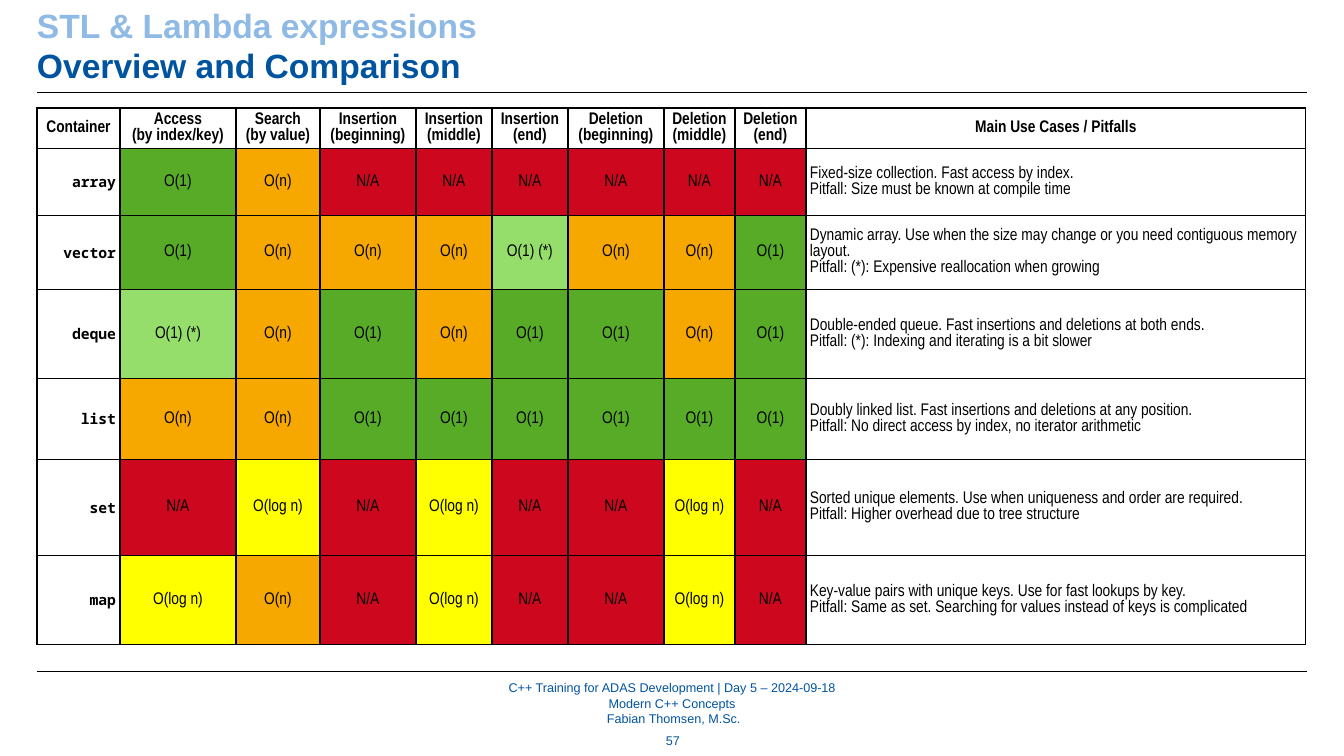
import pptx
import pptx.util
import pptx.dml.color
import pptx.enum.shapes
import pptx.enum.text
import pptx.oxml
import pptx.oxml.ns

RGBColor = pptx.dml.color.RGBColor
ALIGN = pptx.enum.text.PP_ALIGN
ANCHOR = pptx.enum.text.MSO_ANCHOR
BLUE = RGBColor(0x00, 0x54, 0x9F)
LIGHT_BLUE = RGBColor(0x8E, 0xBA, 0xE5)
BLACK = RGBColor(0, 0, 0)
WHITE = RGBColor(0xFF, 0xFF, 0xFF)
GREEN = RGBColor(0x57, 0xAB, 0x27)
LIGHT_GREEN = RGBColor(0x96, 0xDE, 0x6C)
ORANGE = RGBColor(0xF6, 0xA8, 0x00)
RED = RGBColor(0xCC, 0x07, 0x1E)
YELLOW = RGBColor(0xFF, 0xFF, 0x00)

COST_FILLS = {
    "O(1)": GREEN,
    "O(1) (*)": LIGHT_GREEN,
    "O(log n)": YELLOW,
    "O(n)": ORANGE,
    "N/A": RED,
}
HEADERS = [
    ["Container"], ["Access", "(by index/key)"], ["Search", "(by value)"],
    ["Insertion", "(beginning)"], ["Insertion", "(middle)"], ["Insertion", "(end)"],
    ["Deletion", "(beginning)"], ["Deletion", "(middle)"], ["Deletion", "(end)"],
    ["Main Use Cases / Pitfalls"],
]
CONTAINERS = [
    ("array", ["O(1)", "O(n)"] + ["N/A"] * 6,
     ["Fixed-size collection. Fast access by index.",
      "Pitfall: Size must be known at compile time"]),
    ("vector", ["O(1)", "O(n)", "O(n)", "O(n)", "O(1) (*)", "O(n)", "O(n)", "O(1)"],
     ["Dynamic array. Use when the size may change or you need contiguous memory layout.",
      "Pitfall: (*): Expensive reallocation when growing"]),
    ("deque", ["O(1) (*)", "O(n)", "O(1)", "O(n)", "O(1)", "O(1)", "O(n)", "O(1)"],
     ["Double-ended queue. Fast insertions and deletions at both ends.",
      "Pitfall: (*): Indexing and iterating is a bit slower"]),
    ("list", ["O(n)", "O(n)"] + ["O(1)"] * 6,
     ["Doubly linked list. Fast insertions and deletions at any position.",
      "Pitfall: No direct access by index, no iterator arithmetic"]),
    ("set", ["N/A", "O(log n)"] + ["N/A", "O(log n)", "N/A"] * 2,
     ["Sorted unique elements. Use when uniqueness and order are required.",
      "Pitfall: Higher overhead due to tree structure"]),
    ("map", ["O(log n)", "O(n)"] + ["N/A", "O(log n)", "N/A"] * 2,
     ["Key-value pairs with unique keys. Use for fast lookups by key.",
      "Pitfall: Same as set. Searching for values instead of keys is complicated"]),
]
COLUMN_WIDTHS = [83, 116, 84, 96, 76, 76, 96, 71, 71, 500]
ROW_HEIGHTS = [30, 67, 74, 89, 81, 96, 89]


def px(length):
    """Turn pixels into EMU."""
    return round(length * 914400 / 100.8)


def write_lines(frame, lines, size, colors, font="Arial", bold=False,
                align=ALIGN.LEFT):
    """Write one paragraph per line, each in its own colour."""
    for index, (line, color) in enumerate(zip(lines, colors)):
        para = frame.paragraphs[0] if index == 0 else frame.add_paragraph()
        para.alignment = align
        para.line_spacing = 1.0
        span = para.add_run()
        span.text = line
        span.font.size = pptx.util.Pt(size)
        span.font.name = font
        span.font.bold = bold
        span.font.color.rgb = color


def add_text(page, box, anchor, lines, size, colors, **style):
    """Add a wrapping text box without insets."""
    frame = page.shapes.add_textbox(*map(px, box)).text_frame
    frame.word_wrap = True
    frame.vertical_anchor = anchor
    frame.margin_left = frame.margin_right = 0
    frame.margin_top = frame.margin_bottom = 0
    write_lines(frame, lines, size, colors, **style)


def add_rule(page, left, top, width):
    """Draw a thin horizontal rule."""
    rule = page.shapes.add_connector(
        pptx.enum.shapes.MSO_CONNECTOR.STRAIGHT,
        px(left), px(top), px(left + width), px(top))
    rule.line.color.rgb = BLACK
    rule.line.width = pptx.util.Pt(0.5)
    rule._element.spPr.append(pptx.oxml.parse_xml(
        f"<a:effectLst {pptx.oxml.ns.nsdecls('a')}/>"))


def add_title(page, left, top, width, height):
    """Place the two title lines with the rule beneath them."""
    add_text(page, (left, top, width, height), ANCHOR.TOP,
             ["STL & Lambda expressions", "Overview and Comparison"],
             24, [LIGHT_BLUE, BLUE], bold=True)
    add_rule(page, left, top + height + 6, width)


def add_footer(page, left, top, width):
    """Place the rule, the course details and the page number."""
    add_rule(page, left, top, width)
    middle = left + width // 2
    add_text(page, (middle - 326, top + 9, 652, 46), ANCHOR.MIDDLE,
             ["C++ Training for ADAS Development | Day 5 – 2024-09-18",
              "Modern C++ Concepts", " Fabian Thomsen, M.Sc."],
             9, [BLUE] * 3, align=ALIGN.CENTER)
    add_text(page, (middle - 25, top + 56, 52, 26), ANCHOR.MIDDLE,
             ["57"], 9, [BLUE], align=ALIGN.CENTER)


def fill_cell(cell, lines, fill=WHITE, inset=4, size=12, font="Arial Narrow",
              bold=False, align=ALIGN.CENTER):
    """Set the text, borders and fill of one table cell."""
    cell.vertical_anchor = ANCHOR.MIDDLE
    cell.margin_left = cell.margin_right = px(inset)
    cell.margin_top = cell.margin_bottom = 0
    write_lines(cell.text_frame, lines, size, [BLACK] * len(lines),
                font=font, bold=bold, align=align)
    properties = cell._tc.get_or_add_tcPr()
    for side in ("lnL", "lnR", "lnT", "lnB"):
        properties.append(pptx.oxml.parse_xml(
            f'<a:{side} {pptx.oxml.ns.nsdecls("a")} w="12700"><a:solidFill>'
            f'<a:srgbClr val="{BLACK}"/></a:solidFill></a:{side}>'))
    cell.fill.solid()
    cell.fill.fore_color.rgb = fill


def add_comparison(page, left, top):
    """Build the table of containers and their operation costs."""
    table = page.shapes.add_table(
        len(ROW_HEIGHTS), len(COLUMN_WIDTHS), px(left), px(top),
        px(sum(COLUMN_WIDTHS)), px(sum(ROW_HEIGHTS))).table
    table.first_row = False
    table.horz_banding = False
    for column, width in zip(table.columns, COLUMN_WIDTHS):
        column.width = px(width)
    for row, height in zip(table.rows, ROW_HEIGHTS):
        row.height = px(height)
    for column, lines in enumerate(HEADERS):
        fill_cell(table.cell(0, column), lines, inset=0, bold=True)
    for row, (name, costs, notes) in enumerate(CONTAINERS, start=1):
        fill_cell(table.cell(row, 0), [name], size=10.5, font="Noto Sans Mono",
                  bold=True, align=ALIGN.RIGHT)
        for column, cost in enumerate(costs, start=1):
            fill_cell(table.cell(row, column), [cost], fill=COST_FILLS[cost])
        fill_cell(table.cell(row, len(costs) + 1), notes, align=ALIGN.LEFT)


def main():
    """Build and save the deck."""
    deck = pptx.Presentation()
    deck.slide_width, deck.slide_height = px(1344), px(756)
    page = deck.slides.add_slide(deck.slide_layouts[6])
    add_title(page, 37, 5, 1270, 81)
    add_comparison(page, 37, 108)
    add_footer(page, 37, 671, 1270)
    deck.save("out.pptx")


if __name__ == "__main__":
    main()
